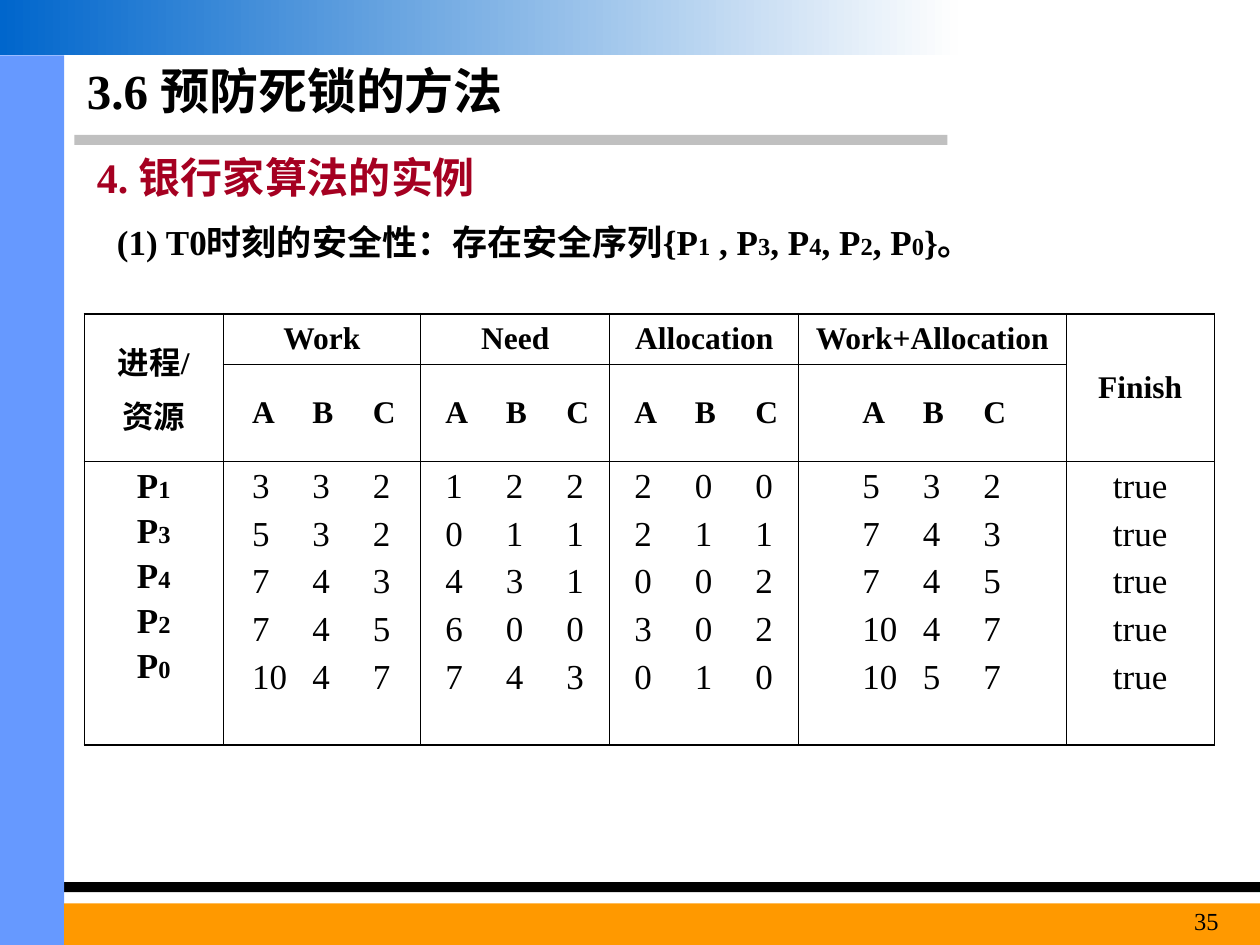
from lxml.etree import SubElement
from pptx import Presentation
from pptx.dml.color import RGBColor
from pptx.enum.shapes import MSO_SHAPE
from pptx.enum.text import MSO_ANCHOR, MSO_AUTO_SIZE, PP_ALIGN
from pptx.oxml.ns import qn
from pptx.util import Inches, Pt

BLACK = RGBColor(0x00, 0x00, 0x00)
GRAY = RGBColor(0xC0, 0xC0, 0xC0)
SIDE_BLUE = RGBColor(0x66, 0x99, 0xFF)
DEEP_BLUE = RGBColor(0x00, 0x66, 0xCC)
NEAR_WHITE = RGBColor(0xFE, 0xFE, 0xFE)
ORANGE = RGBColor(0xFF, 0x99, 0x00)
CRIMSON = RGBColor(0xA5, 0x00, 0x21)
FONT = "Times New Roman"

# Content
TITLE = "3.6 预防死锁的方法"
HEADING = "4. 银行家算法的实例"
PAGE = "35"
SEQUENCE = "13420"
RESOURCES = "A\tB\tC"
CORNER = ["进程/", "资源"]
GROUPS = {
    "Work": [(3, 3, 2), (5, 3, 2), (7, 4, 3), (7, 4, 5), (10, 4, 7)],
    "Need": [(1, 2, 2), (0, 1, 1), (4, 3, 1), (6, 0, 0), (7, 4, 3)],
    "Allocation": [(2, 0, 0), (2, 1, 1), (0, 0, 2), (3, 0, 2), (0, 1, 0)],
    "Work+Allocation": [(5, 3, 2), (7, 4, 3), (7, 4, 5), (10, 4, 7), (10, 5, 7)],
}
FINISH = ["true"] * len(SEQUENCE)

# Layout in inches
BARS = [
    (0.59, 1.07, 6.93, 0.08, GRAY),
    (0, 7, 10, 0.08, BLACK),
    (0, 0.44, 0.51, 7.06, SIDE_BLUE),
    (0.51, 7.17, 9.49, 0.33, ORANGE),
    (0, 0, 7.6, 0.44, None),  # gradient
]
COLS = [1.1, 1.57, 1.5, 1.5, 2.12, 1.18]
ROWS = [0.4, 0.77, 2.25]
TRIPLE_STEP, TRIPLE_WIDTH = 0.48, 1.11
THIN, THICK = 0.45, 1.08


def write(p, runs, bold=True, color=BLACK, before=0, align=PP_ALIGN.LEFT):
    p.alignment = align
    p.space_before = Pt(before)
    for text, size in runs:
        r = p.add_run()
        r.text = text
        r.font.name, r.font.size, r.font.bold = FONT, Pt(size), bold
        r.font.color.rgb = color


def add_text(s, box, runs, inset=0.1, **style):
    tf = s.shapes.add_textbox(*map(Inches, box)).text_frame
    tf.word_wrap = True
    tf.margin_left = Inches(inset)
    write(tf.paragraphs[0], runs, **style)


def fill_cell(cell, lines, **style):
    tf = cell.text_frame
    for i, runs in enumerate(lines):
        p = tf.add_paragraph() if i else tf.paragraphs[0]
        write(p, runs, **style)


def align_triples(cell, width):
    """Centre the three-number block, with tab stops for its columns."""
    cell.margin_left = Inches((width - TRIPLE_WIDTH) / 2)
    cell.margin_right = 0
    for p in cell.text_frame.paragraphs:
        p.alignment = PP_ALIGN.LEFT
        tabs = SubElement(p._p.get_or_add_pPr(), qn("a:tabLst"))
        for k in (1, 2):
            SubElement(tabs, qn("a:tab"), pos=str(Inches(k * TRIPLE_STEP)), algn="l")


def border(cell, row, col):
    outer = {"L": col == 0, "R": col == len(COLS) - 1,
             "T": row == 0, "B": row == len(ROWS) - 1}
    tcPr = cell._tc.get_or_add_tcPr()
    for side, thick in outer.items():
        ln = SubElement(tcPr, qn("a:ln" + side), w=str(Pt(THICK if thick else THIN)))
        fill = SubElement(ln, qn("a:solidFill"))
        SubElement(fill, qn("a:srgbClr"), val=str(BLACK))
    cell.fill.background()


def add_bars(s):
    for *box, color in BARS:
        sp = s.shapes.add_shape(MSO_SHAPE.RECTANGLE, *map(Inches, box))
        sp.shadow.inherit = False
        sp.line.fill.background()
        if color is not None:
            sp.fill.solid()
            sp.fill.fore_color.rgb = color
            continue
        sp.fill.gradient()
        sp.fill.gradient_angle = 180
        for stop, c in zip(sp.fill.gradient_stops, (NEAR_WHITE, DEEP_BLUE)):
            stop.color.rgb = c


def add_safety_table(s):
    table = s.shapes.add_table(
        len(ROWS), len(COLS), Inches(0.67), Inches(2.49),
        Inches(sum(COLS)), Inches(sum(ROWS))).table
    table.first_row = table.horz_banding = False
    for column, w in zip(table.columns, COLS):
        column.width = Inches(w)
    for row, h in zip(table.rows, ROWS):
        row.height = Inches(h)
    for r in range(len(ROWS)):
        for c in range(len(COLS)):
            cell = table.cell(r, c)
            border(cell, r, c)
            cell.vertical_anchor = MSO_ANCHOR.MIDDLE if r < 2 else MSO_ANCHOR.TOP

    # First and last columns span both header rows
    last = len(COLS) - 1
    for c in (0, last):
        table.cell(0, c).merge(table.cell(1, c))
    head = dict(before=4.5, align=PP_ALIGN.CENTER)
    body = dict(before=5, align=PP_ALIGN.CENTER, bold=False)
    fill_cell(table.cell(0, 0), [[(t, 18)] for t in CORNER], **head)
    fill_cell(table.cell(0, last), [[("Finish", 18)]], **head)
    fill_cell(table.cell(2, 0), [[("P", 20), (n, 14)] for n in SEQUENCE],
              before=3.5, align=PP_ALIGN.CENTER)
    fill_cell(table.cell(2, last), [[(t, 20)] for t in FINISH], **body)

    # Resource groups
    for c, (name, triples) in enumerate(GROUPS.items(), start=1):
        fill_cell(table.cell(0, c), [[(name, 18)]], **head)
        fill_cell(table.cell(1, c), [[(RESOURCES, 18)]], **head)
        fill_cell(table.cell(2, c),
                  [[("\t".join(map(str, t)), 20)] for t in triples], **body)
        for r in (1, 2):
            align_triples(table.cell(r, c), COLS[c])


def main():
    prs = Presentation()
    prs.slide_width, prs.slide_height = Inches(10), Inches(7.5)
    s = prs.slides.add_slide(prs.slide_layouts[5])
    add_bars(s)

    # Title
    title = s.shapes.title
    title.left, title.top, title.width, title.height = map(
        Inches, (0.59, 0.44, 6.85, 0.55))
    tf = title.text_frame
    tf.auto_size = MSO_AUTO_SIZE.NONE
    tf.vertical_anchor = MSO_ANCHOR.MIDDLE
    write(tf.paragraphs[0], [(TITLE, 28)])

    # Heading and safe sequence
    add_text(s, (0.59, 1.15, 9.06, 0.5), [(HEADING, 24)], inset=0.18,
             color=CRIMSON, before=15)
    runs = []
    leads = ["(1) T0时刻的安全性：存在安全序列{P", " , P"] + [", P"] * 3
    for lead, n in zip(leads, SEQUENCE):
        runs += [(lead, 20), (n, 14)]
    add_text(s, (0.83, 1.7, 7.95, 0.47), runs + [("}。", 20)], before=5)

    add_safety_table(s)

    # Page number
    add_text(s, (8.86, 7.14, 0.91, 0.36), [(PAGE, 14)], bold=False,
             align=PP_ALIGN.RIGHT)
    prs.save("out.pptx")


if __name__ == "__main__":
    main()
